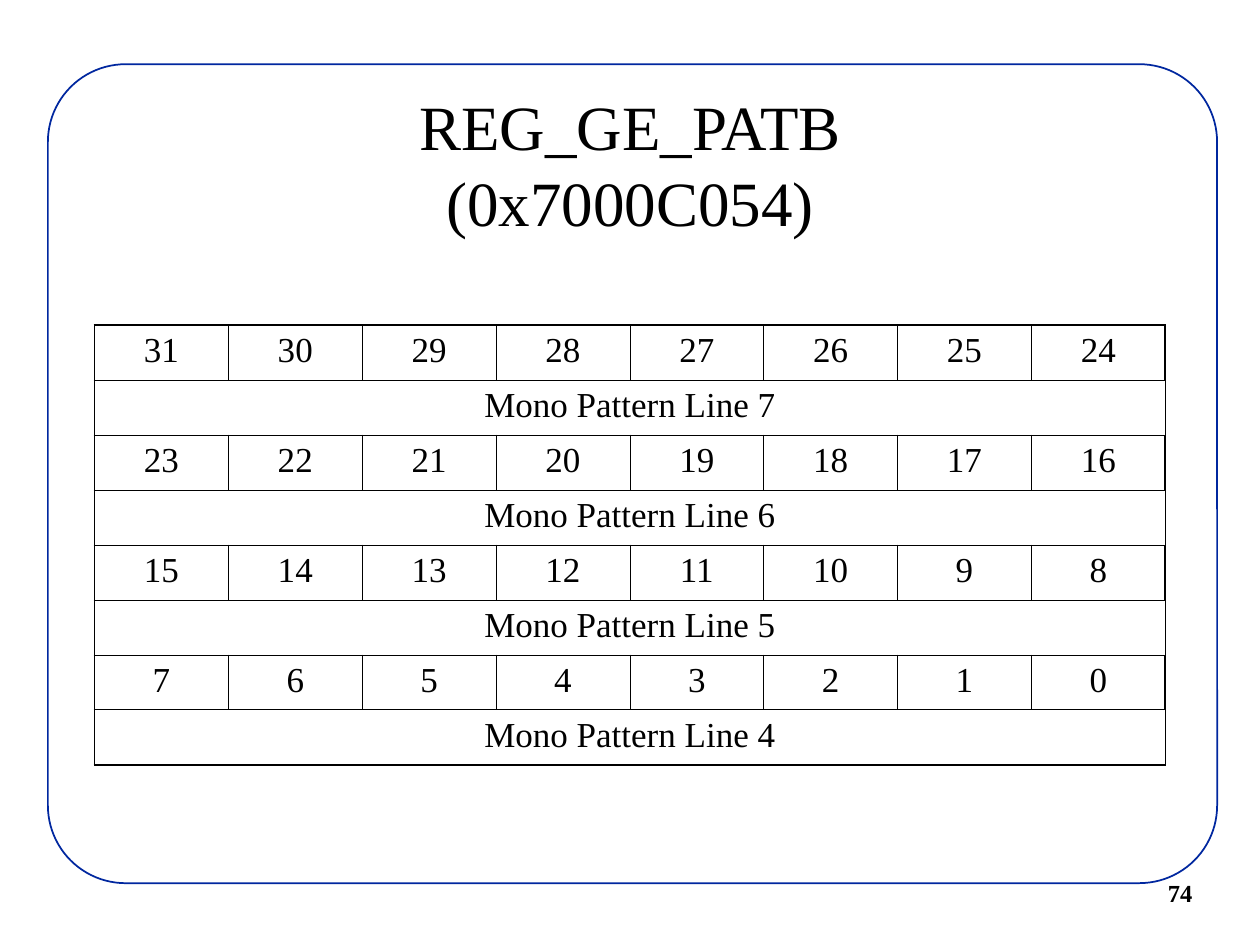
import copy

from lxml import etree
from pptx import Presentation
from pptx import util as u
from pptx.dml.color import RGBColor
from pptx.enum import shapes, text
from pptx.oxml.ns import qn

COLORS = {"ink": "000000", "paper": "FFFFFF", "frame": "00279F"}
FONT = "Times New Roman"
COLUMNS, ROWS = 40, 30
BITS = 8
MARGIN_X, MARGIN_Y = u.Inches(0.1), u.Inches(0.05)


def color(name):
    return RGBColor.from_string(COLORS[name])


def write(tf, content, size, bold=False, align=text.PP_ALIGN.LEFT):
    """Fill a text frame with one formatted paragraph; a vertical tab breaks the line."""
    p = tf.paragraphs[0]
    p.text = content
    p.alignment = align
    for r in p.runs:
        r.font.name, r.font.size, r.font.bold = FONT, u.Pt(size), bold
        r.font.color.rgb = color("ink")
    for br in p._p.findall(qn("a:br")):
        br.insert(0, copy.deepcopy(p.runs[0]._r.rPr))


def set_borders(cell, widths):
    """Draw the left, right, top and bottom borders in points."""
    tcPr = cell._tc.get_or_add_tcPr()
    for i, (side, width) in enumerate(zip("LRTB", widths)):
        ln = etree.Element(qn(f"a:ln{side}"), w=str(u.Pt(width)))
        fill = etree.SubElement(ln, qn("a:solidFill"))
        etree.SubElement(fill, qn("a:srgbClr"), val=COLORS["ink"])
        tcPr.insert(i, ln)


class RegisterSlide:
    """Holds the current slide and a grid of 40 columns by 30 rows."""

    def __init__(self, prs):
        self.s = prs.slides.add_slide(prs.slide_layouts[5])
        self.col = prs.slide_width / COLUMNS
        self.row = prs.slide_height / ROWS

    def box(self, x, y, w, h):
        return (int(x * self.col), int(y * self.row),
                int(w * self.col), int(h * self.row))

    def frame(self, *place):
        sp = self.s.shapes.add_shape(shapes.MSO_SHAPE.ROUNDED_RECTANGLE, *self.box(*place))
        sp.adjustments[0] = 0.095
        sp.shadow.inherit = False
        sp.fill.solid()
        sp.fill.fore_color.rgb = color("paper")
        sp.line.color.rgb = color("frame")
        sp.line.width = u.Pt(1)
        # Keep the frame behind the title placeholder
        self.s.shapes._spTree.insert(2, sp._element)

    def title(self, content, *place):
        sp = self.s.shapes.title
        sp.left, sp.top, sp.width, sp.height = self.box(*place)
        tf = sp.text_frame
        tf.auto_size = text.MSO_AUTO_SIZE.NONE
        tf.vertical_anchor = text.MSO_ANCHOR.MIDDLE
        write(tf, content, 36, align=text.PP_ALIGN.CENTER)

    def page_number(self, number, *place):
        tf = self.s.shapes.add_textbox(*self.box(*place)).text_frame
        tf.word_wrap = True
        write(tf, str(number), 14, bold=True)

    def register_table(self, fields, *place):
        """Alternate a row of bit numbers with a field name across all bits."""
        n_rows = 2 * len(fields)
        table = self.s.shapes.add_table(n_rows, BITS, *self.box(*place)).table
        table.first_row = table.horz_banding = False
        for i in range(n_rows):
            is_field = i % 2 == 1
            for j in range(BITS):
                cell = table.cell(i, j)
                cell.margin_left = cell.margin_right = MARGIN_X
                cell.margin_top = cell.margin_bottom = MARGIN_Y
                cell.fill.solid()
                cell.fill.fore_color.rgb = color("paper")
                outer = (j == 0, j == BITS - 1, i == 0, i == n_rows - 1)
                set_borders(cell, [1.08 if edge else 0.45 for edge in outer])
                if not is_field:
                    bit = BITS * (len(fields) - i // 2) - 1 - j
                    write(cell.text_frame, str(bit), 20, align=text.PP_ALIGN.CENTER)
            if is_field:
                first = table.cell(i, 0)
                first.merge(table.cell(i, BITS - 1))
                set_borders(first, (1.08, 1.08, 0.45, 1.08 if i == n_rows - 1 else 0.45)) \
                    if first._tc.tcPr.find(qn("a:lnL")) is None else None
                write(first.text_frame, fields[i // 2], 20, align=text.PP_ALIGN.CENTER)


def main():
    prs = Presentation()
    prs.slide_width, prs.slide_height = u.Inches(10), u.Inches(7.5)
    slide = RegisterSlide(prs)

    # Frame, title and page number
    slide.frame(1.52, 2.04, 37.12, 26)
    slide.page_number(74, 36.68, 27.68, 4.32, 1.32)
    slide.title("REG_GE_PATB\v(0x7000C054)", 3, 2.68, 34, 5)

    # Register layout, highest byte first
    fields = [f"Mono Pattern Line {line}" for line in (7, 6, 5, 4)]
    slide.register_table(fields, 3, 10.32, 34, 13.96)

    prs.save("out.pptx")


if __name__ == "__main__":
    main()
